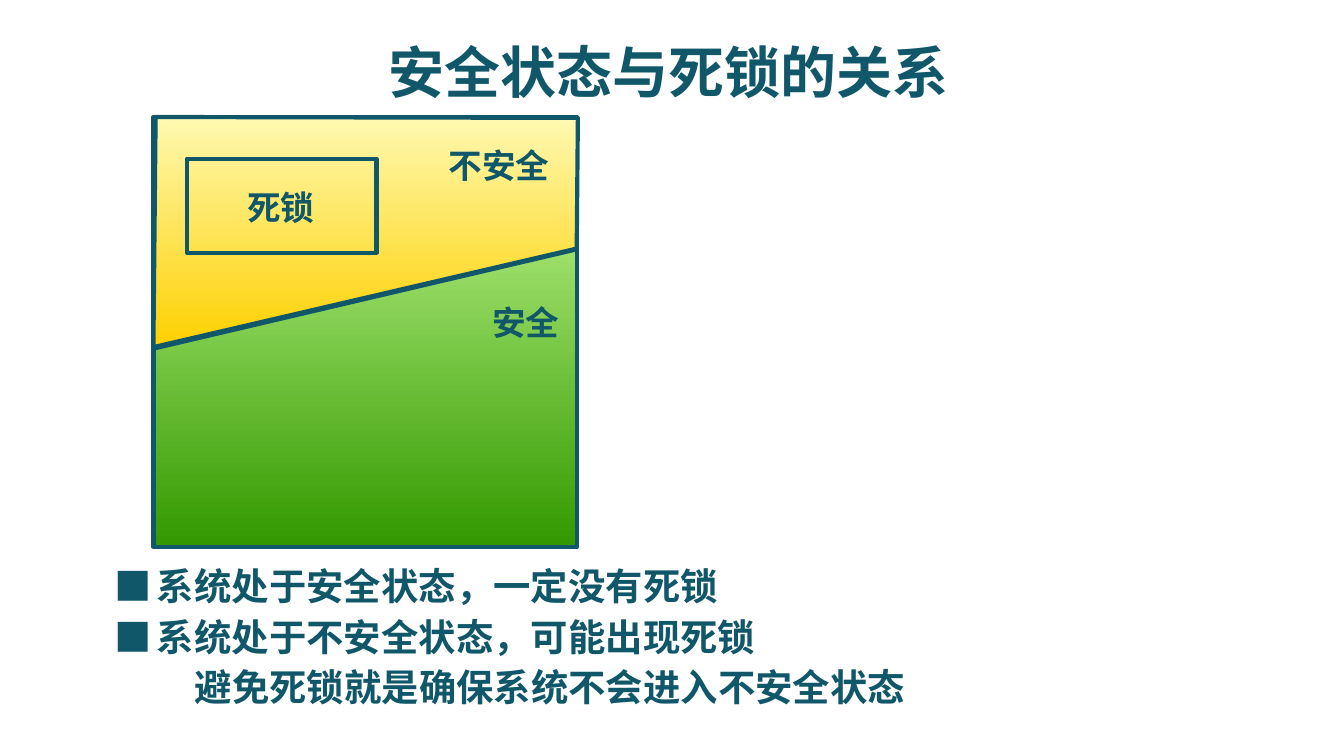
from pptx import Presentation
from pptx.dml.color import RGBColor
from pptx.enum.shapes import MSO_CONNECTOR, MSO_SHAPE
from pptx.enum.text import MSO_ANCHOR, PP_ALIGN
from pptx.oxml.ns import qn
from pptx.util import Pt
from lxml import etree

COLORS = {
    "ink": "11576A",
    "safe_top": "CCFF99",
    "safe_bottom": "339900",
    "unsafe_top": "FFF9B1",
    "unsafe_bottom": "FDD000",
}
INK = RGBColor.from_string(COLORS["ink"])
TEXT_FONT = "Noto Sans CJK SC"
BULLET_FONT = "Noto Sans CJK JP"

presentation = Presentation()
presentation.slide_width = Pt(720)
presentation.slide_height = Pt(405)
slide = presentation.slides.add_slide(presentation.slide_layouts[6])


def add_text(text, left, top, width, height, size, font=TEXT_FONT, wrap=True):
    box = slide.shapes.add_textbox(Pt(left), Pt(top), Pt(width), Pt(height))
    box.text_frame.word_wrap = wrap
    paragraph = box.text_frame.paragraphs[0]
    run = paragraph.add_run()
    run.text = text
    run.font.size = Pt(size)
    run.font.bold = True
    run.font.name = font
    run.font.color.rgb = INK
    east_asian = etree.SubElement(run.font._element, qn("a:ea"))
    east_asian.set("typeface", font)
    return box.text_frame


def style_area(shape, name=None):
    shape.shadow.inherit = False
    shape.line.color.rgb = INK
    shape.line.width = Pt(2.25)
    if name is None:
        shape.fill.background()
        return
    shape.fill.gradient()
    shape.fill.gradient_angle = 270
    for stop, end in zip(shape.fill.gradient_stops, ("top", "bottom")):
        stop.color.rgb = RGBColor.from_string(COLORS[f"{name}_{end}"])


title = add_text("安全状态与死锁的关系", 34, 18, 648, 40, 30)
title.vertical_anchor = MSO_ANCHOR.MIDDLE
title.paragraphs[0].alignment = PP_ALIGN.CENTER

statements = ["系统处于安全状态，一定没有死锁", "系统处于不安全状态，可能出现死锁"]
for row, statement in enumerate(statements):
    top = 298 + row * 27.4
    add_text(statement, 77, top, 400, 50, 20)
    add_text("■", 54, top, 34, 32, 20, font=BULLET_FONT)

conclusion = add_text("避免死锁就是确保系统不会进入不安全状态", 97.2, 355, 397.4, 32.4, 20)
conclusion.paragraphs[0].line_spacing = 0.9

safe_area = slide.shapes.add_shape(
    MSO_SHAPE.RECTANGLE, Pt(82.2), Pt(62.7), Pt(226.8), Pt(230.4)
)
style_area(safe_area, "safe")

boundary = slide.shapes.add_connector(
    MSO_CONNECTOR.STRAIGHT, Pt(82.2), Pt(186.4), Pt(309), Pt(133.2)
)
boundary.line.color.rgb = INK
boundary.line.width = Pt(3)
etree.SubElement(boundary._element.spPr, qn("a:effectLst"))

corners = [(83.4, 62.7), (309.6, 63.2), (309, 133.2), (82.2, 186)]
points = [(Pt(x), Pt(y)) for x, y in corners]
builder = slide.shapes.build_freeform(*points[0], scale=1.0)
builder.add_line_segments(points[1:], close=True)
style_area(builder.convert_to_shape(), "unsafe")

deadlock_area = slide.shapes.add_shape(
    MSO_SHAPE.RECTANGLE, Pt(100.2), Pt(85), Pt(101.6), Pt(50.4)
)
style_area(deadlock_area)

labels = [
    ("死锁", 125.3, 96.5, 51),
    ("不安全", 233.3, 74, 70),
    ("安全", 256.5, 158.4, 51),
]
for text, left, top, width in labels:
    add_text(text, left, top, width, 29, 18, wrap=False)

presentation.save("out.pptx")
